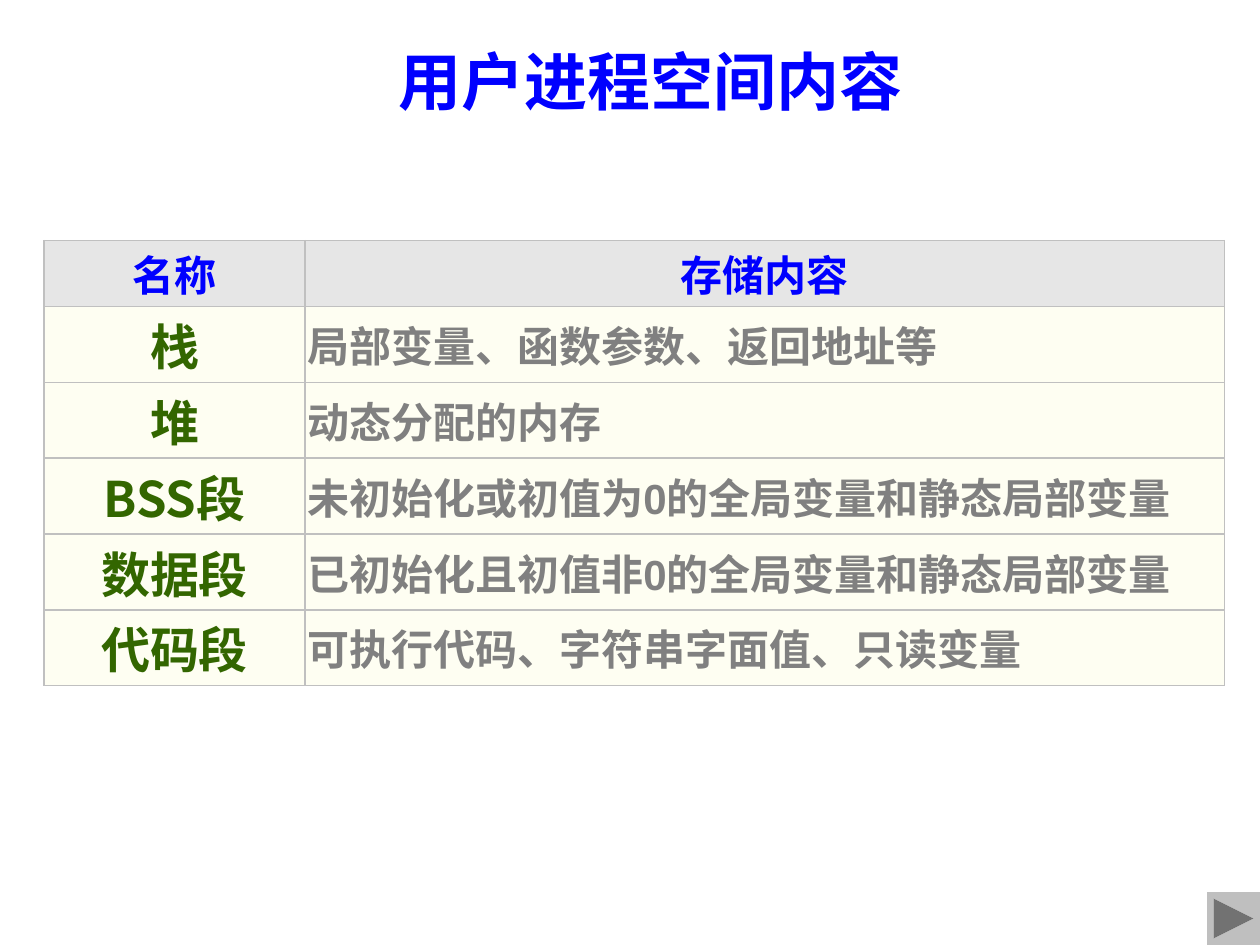
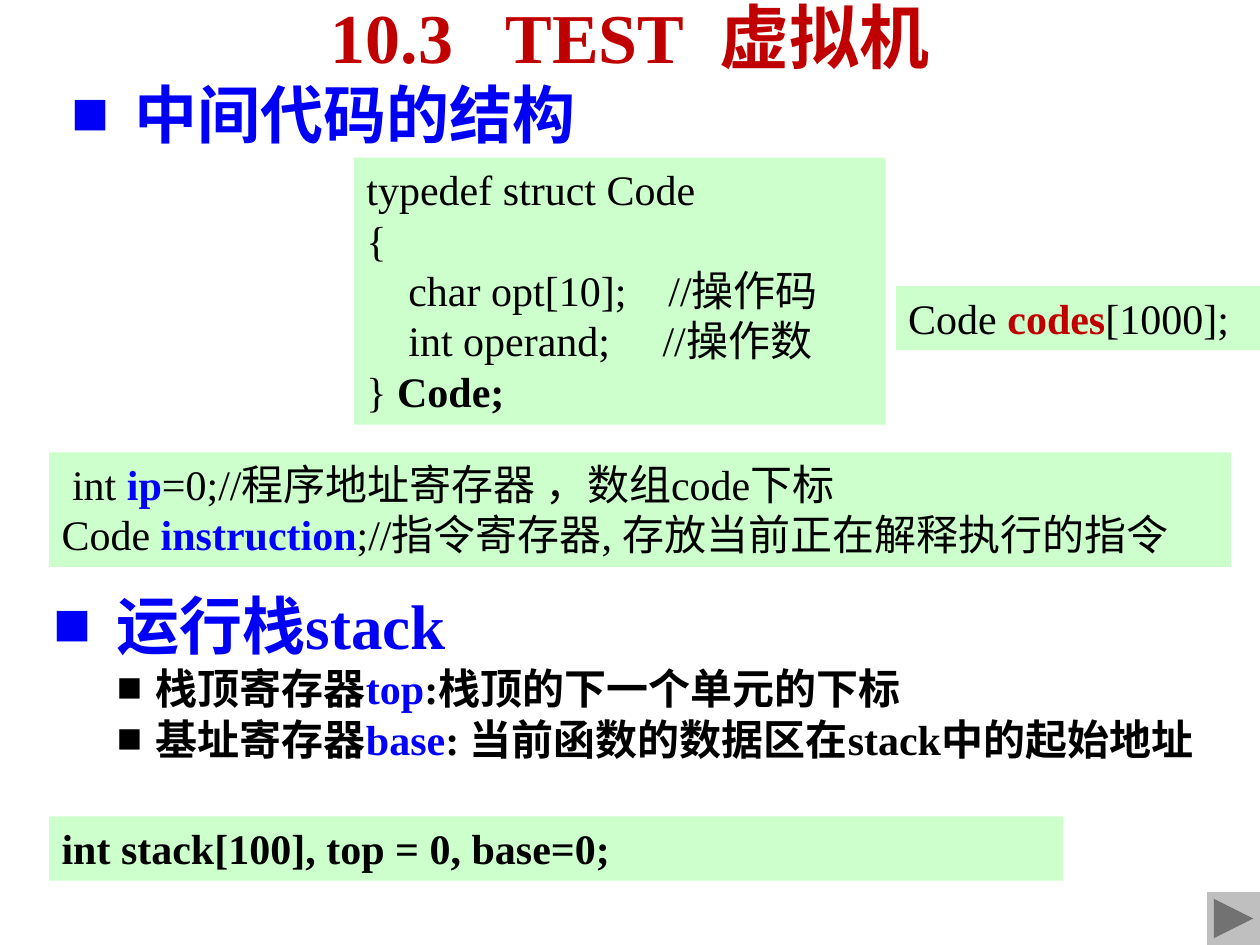
"""Builds two slides on process memory and the TEST virtual machine."""
from lxml import etree
from pptx import Presentation
from pptx import util as u
from pptx.dml.color import RGBColor
from pptx.enum import shapes, text
from pptx.oxml import ns

SCALE = 9144
SERIF, SANS, CJK = "Times New Roman", "Arial", "Noto Sans CJK SC"
BLACK, BLUE, NAVY, RED = "000000", "0000FF", "0000F6", "C00000"
GREEN, GREY, BORDER = "336600", "808080", "C0C0C0"
CODE_FILL, HEAD_FILL, ROW_FILL, BUTTON_FILL = "CCFFCC", "E6E6E6", "FEFEF2", "BFBFBF"
CENTER, LEFT = text.PP_ALIGN.CENTER, text.PP_ALIGN.LEFT


def px(n):
    return u.Emu(n * SCALE)


def color(value):
    return RGBColor.from_string(value)


def add_xml(parent, tag, **attrs):
    return etree.SubElement(parent, ns.qn(tag), attrs)


def add_fill(parent, tag, value):
    add_xml(add_xml(parent, tag), "a:srgbClr", val=value)


class Deck:
    """Holds the shared style and the current slide."""

    def __init__(self):
        self.prs = Presentation()
        self.prs.slide_width, self.prs.slide_height = px(1000), px(750)
        self.s = None

    def slide(self):
        self.s = self.prs.slides.add_slide(self.prs.slide_layouts[6])

    def run(self, p, content, size=24, font=SERIF, c=BLACK, bold=False, spacing=0):
        r = p.add_run()
        r.text = content
        r.font.size, r.font.bold = u.Pt(size), bold
        r.font.color.rgb = color(c)
        r.font.name = font
        rpr = r.font._element
        add_xml(rpr, "a:ea", typeface=CJK)
        if spacing:
            rpr.set("spc", str(spacing * 100))

    def line(self, p, runs, align=LEFT, **style):
        p.alignment = align
        for content, changes in runs:
            self.run(p, content, **{**style, **changes})

    def bullet(self, p, runs, c, margin, hang, level=0, **style):
        p.level = level
        ppr = p._p.get_or_add_pPr()
        ppr.set("marL", str(px(margin)))
        ppr.set("indent", str(px(-hang)))
        add_fill(ppr, "a:buClr", c)
        add_xml(ppr, "a:buFont", typeface=SERIF)
        add_xml(ppr, "a:buChar", char="■")
        self.line(p, runs, c=c, bold=True, **style)

    def heading(self, p, content):
        self.bullet(p, [(content, {})], NAVY, 50, 50, size=36)

    def box(self, x, y, w, h, wrap=True):
        tf = self.s.shapes.add_textbox(px(x), px(y), px(w), px(h)).text_frame
        tf.word_wrap = wrap
        return tf

    def shape(self, kind, x, y, w, h, fill):
        sp = self.s.shapes.add_shape(kind, px(x), px(y), px(w), px(h))
        sp.shadow.inherit = False
        sp.fill.solid()
        sp.fill.fore_color.rgb = color(fill)
        sp.line.fill.background()
        return sp

    def code(self, x, y, w, h, lines):
        tf = self.shape(shapes.MSO_SHAPE.RECTANGLE, x, y, w, h, CODE_FILL).text_frame
        tf.word_wrap = True
        tf.vertical_anchor = text.MSO_ANCHOR.TOP
        for i, runs in enumerate(lines):
            self.line(tf.add_paragraph() if i else tf.paragraphs[0], runs)

    def next_button(self):
        self.shape(shapes.MSO_SHAPE.ACTION_BUTTON_FORWARD_OR_NEXT, 958, 708, 42, 42, BUTTON_FILL)

    def cell(self, cell, content, fill, align, **style):
        cell.margin_left = cell.margin_right = cell.margin_top = cell.margin_bottom = px(2)
        cell.vertical_anchor = text.MSO_ANCHOR.MIDDLE
        tcpr = cell._tc.get_or_add_tcPr()
        for side in "LRTB":
            add_fill(add_xml(tcpr, f"a:ln{side}", w=str(u.Pt(1))), "a:solidFill", BORDER)
        cell.fill.solid()
        cell.fill.fore_color.rgb = color(fill)
        self.line(cell.text_frame.paragraphs[0], [(content, {})], align, bold=True, **style)

    def table(self, x, y, widths, heights, rows):
        frame = self.s.shapes.add_table(len(rows), len(widths), px(x), px(y),
                                        px(sum(widths)), px(sum(heights)))
        table = frame.table
        table.first_row = table.horz_banding = False
        for column, width in zip(table.columns, widths):
            column.width = px(width)
        for i, (name, content) in enumerate(rows):
            table.rows[i].height = px(heights[i])
            left, right = table.cell(i, 0), table.cell(i, 1)
            if i == 0:
                self.cell(left, name, HEAD_FILL, CENTER, font=SANS, c=BLUE)
                self.cell(right, content, HEAD_FILL, CENTER, font=SANS, c=BLUE)
            else:
                self.cell(left, name, ROW_FILL, CENTER, size=28, font=CJK, c=GREEN)
                self.cell(right, content, ROW_FILL, LEFT, font=SANS, c=GREY)


def process_space(deck):
    deck.slide()
    deck.table(35, 191, [207, 730], [45] + [52] * 5, [
        ("名称", "存储内容"),
        ("栈", "局部变量、函数参数、返回地址等"),
        ("堆", "动态分配的内存"),
        ("BSS段", "未初始化或初值为0的全局变量和静态局部变量"),
        ("数据段", "已初始化且初值非0的全局变量和静态局部变量"),
        ("代码段", "可执行代码、字符串字面值、只读变量"),
    ])
    title = deck.box(303, 29, 426, 71, wrap=False)
    deck.line(title.paragraphs[0], [("用户进程空间内容", {})], CENTER, size=36, c=BLUE, bold=True)
    deck.next_button()


def virtual_machine(deck):
    deck.slide()
    strong, blue = {"bold": True}, {"c": BLUE, "bold": True}

    title = deck.box(0, 0, 1000, 50)
    title.vertical_anchor = text.MSO_ANCHOR.MIDDLE
    p = title.paragraphs[0]
    p.line_spacing = 1.1
    deck.line(p, [("10.3", {}), (" ", {"spacing": 20}), ("TEST", {}),
                  (" ", {"spacing": 10}), ("虚拟机", {})], CENTER, size=40, c=RED, bold=True)

    deck.code(281, 125, 422, 212, [
        [("typedef struct Code", {})],
        [("{", {})],
        [("    char opt[10];    //操作码", {})],
        [("    int operand;     //操作数", {})],
        [("} ", {}), ("Code;", strong)],
    ])
    deck.heading(deck.box(47, 55, 422, 71).paragraphs[0], "中间代码的结构")
    deck.code(711, 227, 289, 51, [
        [("Code ", {}), ("codes", {"c": RED, "bold": True}), ("[1000];", {})],
    ])
    deck.code(39, 359, 938, 91, [
        [(" int ", {}), ("ip", blue), ("=0;//程序地址寄存器 ，数组code下标", {})],
        [("Code ", {}), ("instruction", blue), (";//指令寄存器, 存放当前正在解释执行的指令", {})],
    ])

    stack = deck.box(33, 461, 967, 156)
    deck.heading(stack.paragraphs[0], "运行栈stack")
    for label, name, meaning in [
        ("栈顶寄存器", "top", ":栈顶的下一个单元的下标"),
        ("基址寄存器", "base", ": 当前函数的数据区在stack中的起始地址"),
    ]:
        deck.bullet(stack.add_paragraph(), [(label, {}), (name, blue), (meaning, {})],
                    BLACK, 81, 31, level=1)
    deck.code(39, 648, 805, 51, [[("int stack[100], top = 0, base=0;", strong)]])
    deck.next_button()


def main():
    deck = Deck()
    process_space(deck)
    virtual_machine(deck)
    deck.prs.save("out.pptx")


if __name__ == "__main__":
    main()
